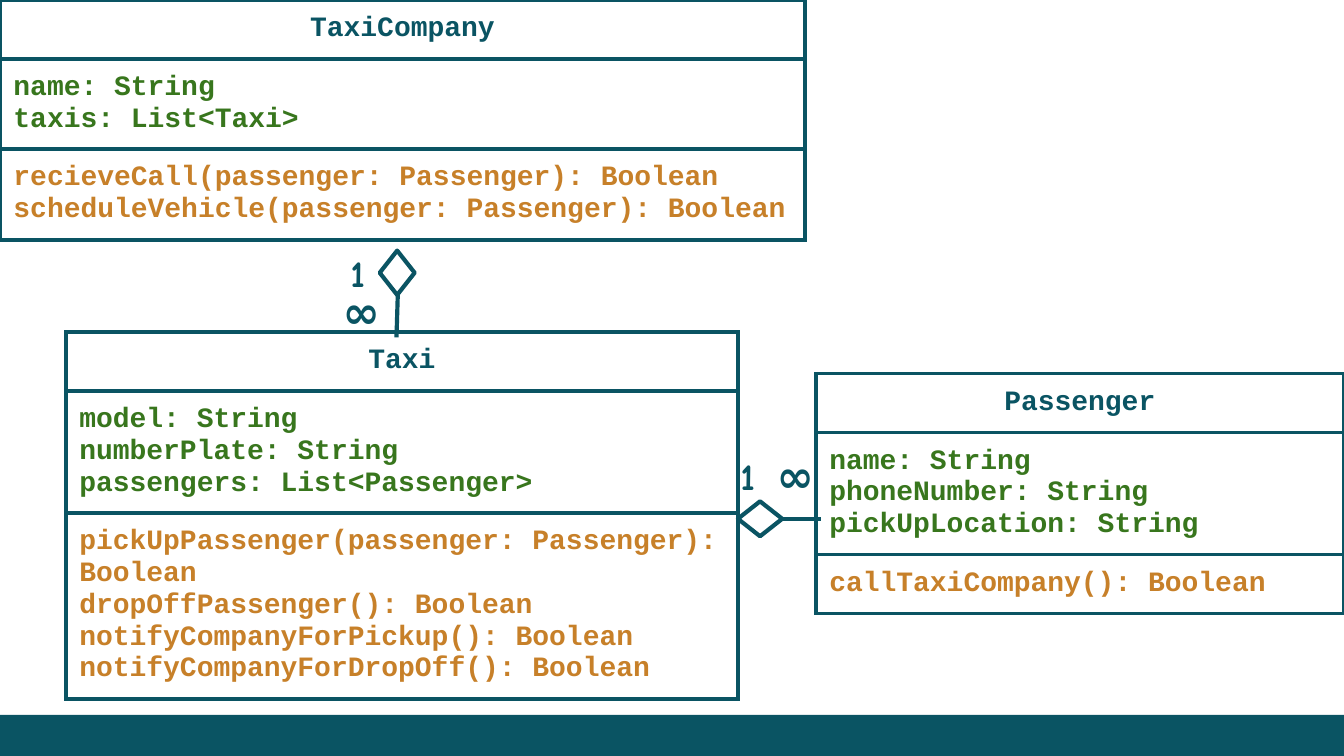
"""Build a UML class diagram slide of a taxi company."""
from dataclasses import dataclass

from lxml.etree import SubElement
from pptx import Presentation
from pptx.dml.color import RGBColor
from pptx.enum.shapes import MSO_CONNECTOR, MSO_SHAPE
from pptx.enum.text import PP_ALIGN
from pptx.oxml.ns import qn
from pptx.util import Inches, Pt


@dataclass(frozen=True)
class Theme:
    teal: RGBColor = RGBColor(0x0A, 0x54, 0x63)
    green: RGBColor = RGBColor(0x38, 0x76, 0x1D)
    orange: RGBColor = RGBColor(0xC7, 0x80, 0x29)
    white: RGBColor = RGBColor(0xFF, 0xFF, 0xFF)
    code_font: str = "Courier New"
    label_font: str = "Comic Neue"
    code_size: Pt = Pt(15)
    one_size: Pt = Pt(20)
    many_size: Pt = Pt(24)
    line_width: Pt = Pt(2.25)


theme = Theme()
margin = Inches(0.1)
line_height = Inches(0.23)


def write_lines(frame, lines, font_name, size, color, align=PP_ALIGN.LEFT):
    frame.text = "\n".join(lines)
    for para in frame.paragraphs:
        para.alignment = align
        for span in para.runs:
            span.font.name = font_name
            span.font.size = size
            span.font.bold = True
            span.font.color.rgb = color


def add_borders(cell):
    properties = cell._tc.get_or_add_tcPr()
    for side in ("a:lnL", "a:lnR", "a:lnT", "a:lnB"):
        border = SubElement(properties, qn(side), w=str(theme.line_width))
        fill = SubElement(border, qn("a:solidFill"))
        SubElement(fill, qn("a:srgbClr"), val=str(theme.teal))


deck = Presentation()
deck.slide_width = Inches(10)
deck.slide_height = deck.slide_width * 9 // 16
page = deck.slides.add_slide(deck.slide_layouts[6])

footer_top = Inches(5.32)
footer = page.shapes.add_shape(
    MSO_SHAPE.RECTANGLE, 0, footer_top, deck.slide_width, deck.slide_height - footer_top)
footer.shadow.inherit = False
footer.fill.solid()
footer.fill.fore_color.rgb = theme.teal
footer.line.fill.background()

classes = [
    (0, 0, 5.99, "TaxiCompany",
     ["name: String", "taxis: List<Taxi>"],
     ["recieveCall(passenger: Passenger): Boolean",
      "scheduleVehicle(passenger: Passenger): Boolean"]),
    (0.49, 2.47, 5, "Taxi",
     ["model: String", "numberPlate: String", "passengers: List<Passenger>"],
     ["pickUpPassenger(passenger: Passenger): Boolean",
      "dropOffPassenger(): Boolean",
      "notifyCompanyForPickup(): Boolean",
      "notifyCompanyForDropOff(): Boolean"]),
    (6.07, 2.78, 3.93, "Passenger",
     ["name: String", "phoneNumber: String", "pickUpLocation: String"],
     ["callTaxiCompany(): Boolean"]),
]
for left, top, width, name, fields, methods in classes:
    sections = [
        ([name], theme.teal, PP_ALIGN.CENTER),
        (fields, theme.green, PP_ALIGN.LEFT),
        (methods, theme.orange, PP_ALIGN.LEFT),
    ]
    heights = [2 * margin + line_height * len(lines) for lines, _, _ in sections]
    table = page.shapes.add_table(
        len(sections), 1, Inches(left), Inches(top), Inches(width), sum(heights)).table
    table.first_row = table.horz_banding = False
    for row, height, (lines, color, align) in zip(table.rows, heights, sections):
        row.height = height
        cell = row.cells[0]
        cell.margin_left = cell.margin_right = margin
        cell.margin_top = cell.margin_bottom = margin
        add_borders(cell)
        cell.fill.background()
        write_lines(cell.text_frame, lines, theme.code_font, theme.code_size, color, align)

for left, top, rotation in [(2.79, 1.9, 90), (5.49, 3.73, 180)]:
    diamond = page.shapes.add_shape(
        MSO_SHAPE.FLOWCHART_DECISION,
        Inches(left), Inches(top), Inches(0.33), Inches(0.26))
    diamond.rotation = rotation
    diamond.shadow.inherit = False
    diamond.fill.solid()
    diamond.fill.fore_color.rgb = theme.white
    diamond.line.color.rgb = theme.teal
    diamond.line.width = theme.line_width

for ends in [(2.96, 2.19, 2.95, 2.51), (5.82, 3.86, 6.11, 3.86)]:
    link = page.shapes.add_connector(MSO_CONNECTOR.STRAIGHT, *map(Inches, ends))
    link.line.color.rgb = theme.teal
    link.line.width = theme.line_width
    SubElement(link._element.spPr, qn("a:effectLst"))

labels = [
    ("∞", 2.45, 2.01, 0.48, 0.61, theme.many_size),
    ("1", 2.51, 1.76, 0.33, 0.54, theme.one_size),
    ("∞", 5.68, 3.23, 0.48, 0.61, theme.many_size),
    ("1", 5.41, 3.27, 0.33, 0.54, theme.one_size),
]
for text, left, top, width, height, size in labels:
    box = page.shapes.add_textbox(*map(Inches, (left, top, width, height)))
    frame = box.text_frame
    frame.word_wrap = True
    frame.margin_left = frame.margin_right = margin
    frame.margin_top = frame.margin_bottom = margin
    write_lines(frame, [text], theme.label_font, size, theme.teal)

deck.save("out.pptx")
